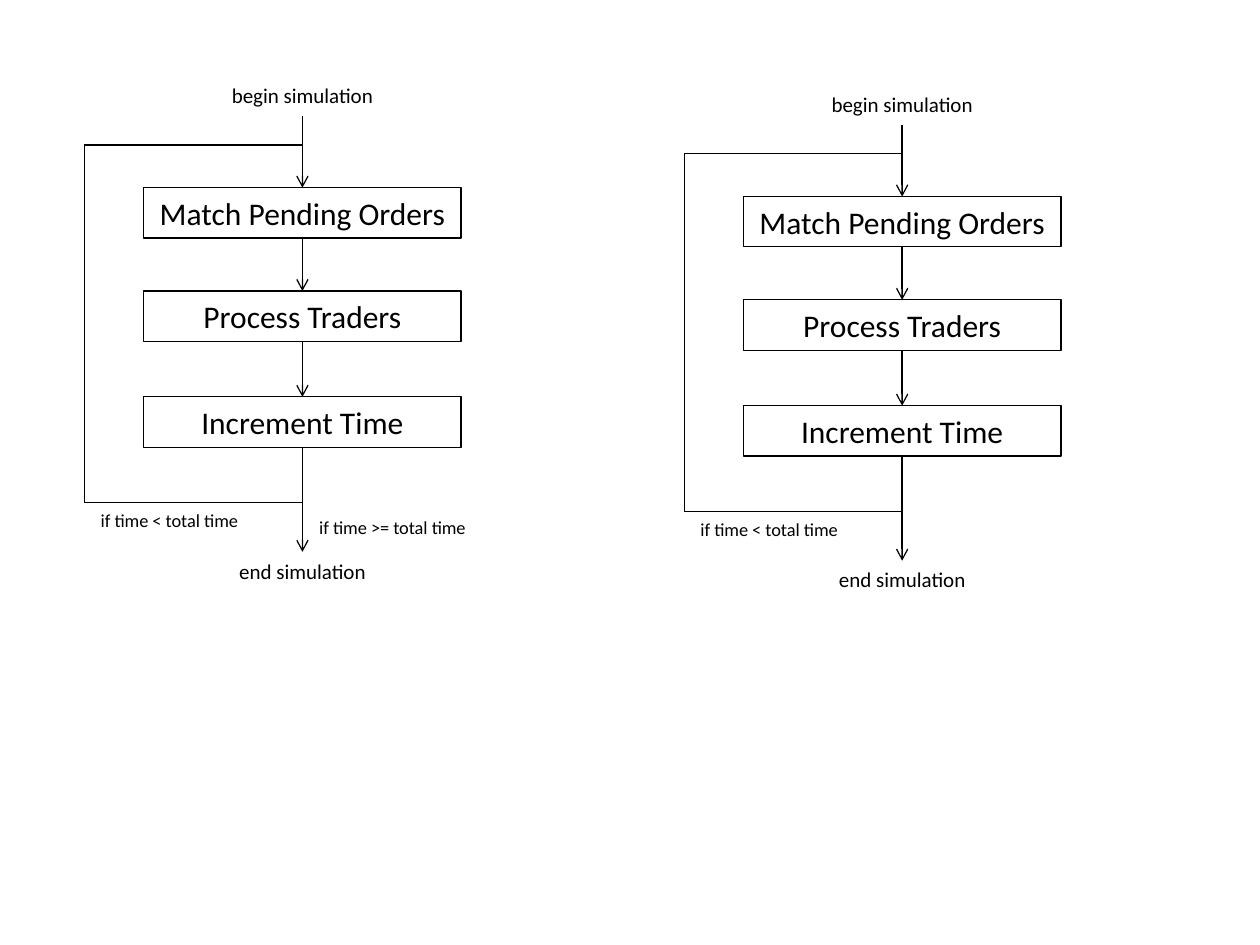
import pptx
import pptx.util
import pptx.dml.color
import pptx.enum.shapes
import pptx.enum.text
import pptx.oxml.ns
import lxml.etree

BLACK = pptx.dml.color.RGBColor(0, 0, 0)
SLIDE_WIDTH = pptx.util.Inches(10)
SLIDE_HEIGHT = pptx.util.Inches(7.5)
COLUMN = SLIDE_WIDTH / 100
ROW = SLIDE_HEIGHT / 75
LINE_WIDTH = pptx.util.Pt(0.75)

AXIS = 20.8
STEP_WIDTH, STEP_HEIGHT = 25.2, 4
LABEL_WIDTH, LABEL_HEIGHT = 20.5, 3
STEPS = [("Match Pending Orders", 8.8), ("Process Traders", 17), ("Increment Time", 25.4)]
FLOW_START, FLOW_END = 3.1, 37.7
LOOP_LEFT, LOOP_TOP, LOOP_BOTTOM = 3.5, 5.4, 33.8


def place(origin, column, row):
    return round((origin[0] + column) * COLUMN), round((origin[1] + row) * ROW)


def write(holder, wording, size):
    frame = holder.text_frame
    frame.text = wording
    frame.word_wrap = True
    frame.auto_size = pptx.enum.text.MSO_AUTO_SIZE.SHAPE_TO_FIT_TEXT
    paragraph = frame.paragraphs[0]
    paragraph.alignment = pptx.enum.text.PP_ALIGN.CENTER
    font = paragraph.runs[0].font
    font.name = "Calibri"
    font.size = pptx.util.Pt(size)
    font.color.rgb = BLACK


def add_step(shapes, origin, wording, top):
    step = shapes.add_shape(
        pptx.enum.shapes.MSO_SHAPE.RECTANGLE,
        *place(origin, AXIS - STEP_WIDTH / 2, top),
        *place((0, 0), STEP_WIDTH, STEP_HEIGHT),
    )
    step.shadow.inherit = False
    step.fill.background()
    step.line.color.rgb = BLACK
    step.line.width = LINE_WIDTH
    write(step, wording, 18)


def add_label(shapes, origin, wording, left, top, size):
    label = shapes.add_textbox(
        *place(origin, left, top), *place((0, 0), LABEL_WIDTH, LABEL_HEIGHT)
    )
    write(label, wording, size)


def add_path(shapes, origin, start, end, arrow=False):
    link = shapes.add_connector(
        pptx.enum.shapes.MSO_CONNECTOR.STRAIGHT,
        *place(origin, *start),
        *place(origin, *end),
    )
    link.line.color.rgb = BLACK
    link.line.width = LINE_WIDTH
    if arrow:
        outline = link.line._get_or_add_ln()
        lxml.etree.SubElement(outline, pptx.oxml.ns.qn("a:tailEnd"), type="arrow")
    properties = link._element.spPr
    lxml.etree.SubElement(properties, pptx.oxml.ns.qn("a:effectLst"))


def add_simulation_flow(shapes, origin, exit_condition=None):
    for wording, top in STEPS:
        add_step(shapes, origin, wording, top)

    tops = [top for _, top in STEPS]
    for upper, lower in zip(tops, tops[1:]):
        add_path(shapes, origin, (AXIS, upper + STEP_HEIGHT), (AXIS, lower), arrow=True)

    loop = [
        (AXIS, tops[-1] + STEP_HEIGHT),
        (AXIS, LOOP_BOTTOM),
        (LOOP_LEFT, LOOP_BOTTOM),
        (LOOP_LEFT, LOOP_TOP),
        (AXIS, LOOP_TOP),
    ]
    for start, end in zip(loop, loop[1:]):
        add_path(shapes, origin, start, end)
    add_path(shapes, origin, (AXIS, LOOP_TOP), (AXIS, tops[0]), arrow=True)
    add_path(shapes, origin, (AXIS, LOOP_TOP), (AXIS, FLOW_START))
    add_path(shapes, origin, (AXIS, LOOP_BOTTOM), (AXIS, FLOW_END), arrow=True)

    label_left = AXIS - LABEL_WIDTH / 2
    add_label(shapes, origin, "begin simulation", label_left, 0, 12)
    add_label(shapes, origin, "end simulation", label_left, FLOW_END, 12)
    if exit_condition:
        add_label(shapes, origin, exit_condition, 17.7, 34.4, 10.5)
    add_label(shapes, origin, "if time < total time", 0, LOOP_BOTTOM, 10.5)


def main():
    deck = pptx.Presentation()
    deck.slide_width = SLIDE_WIDTH
    deck.slide_height = SLIDE_HEIGHT
    slide = deck.slides.add_slide(deck.slide_layouts[6])
    add_simulation_flow(slide.shapes, (3.2, 6.1), "if time >= total time")
    add_simulation_flow(slide.shapes.add_group_shape().shapes, (50.8, 6.8))
    deck.save("out.pptx")


if __name__ == "__main__":
    main()
